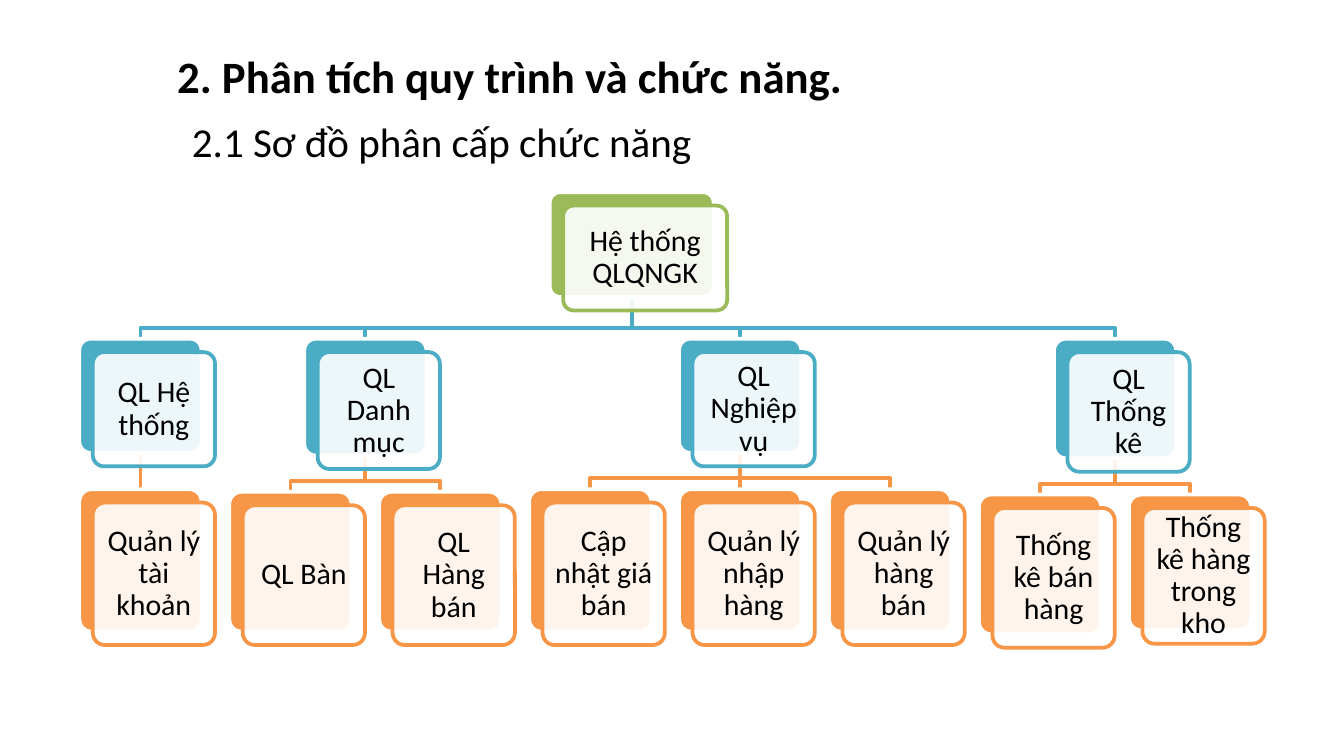
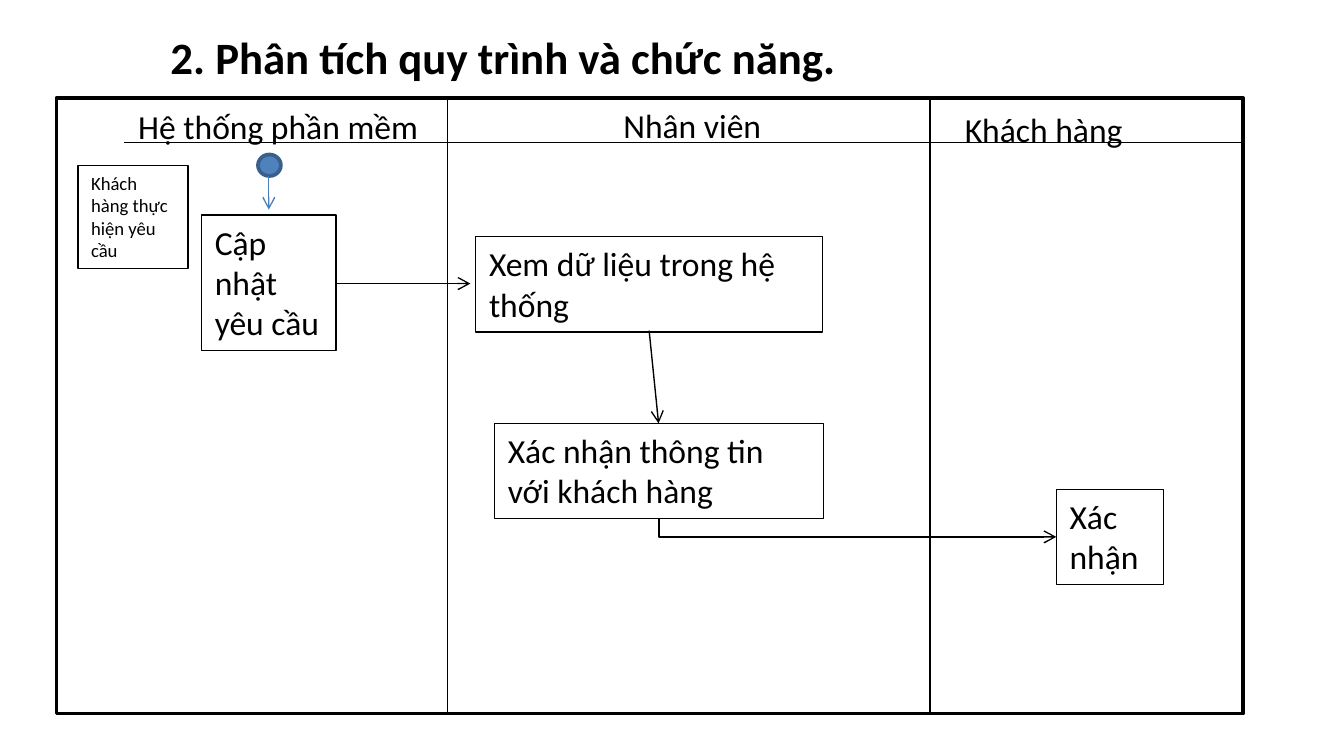
from lxml import etree
from pptx import Presentation
from pptx.dml.color import RGBColor
from pptx.enum.shapes import MSO_CONNECTOR, MSO_SHAPE
from pptx.enum.text import MSO_ANCHOR, MSO_AUTO_SIZE, PP_ALIGN
from pptx.oxml.ns import qn
from pptx.util import Inches, Pt

FONT = "Calibri"
BLACK, WHITE = "000000", "FFFFFF"
GREEN, TEAL, ORANGE = "9BBB59", "4BACC6", "F79646"
START_FILL, START_LINE, START_ARROW = "4F81BD", "3A5F8C", "4B7EBC"

TITLE = "2. Phân tích quy trình và chức năng."
SUBTITLE = "2.1 Sơ đồ phân cấp chức năng"

# Function tree: branch, branch height, [(leaf, leaf height)]
SYSTEM = "Hệ thống QLQNGK"
BRANCHES = [
    ("QL Hệ thống", 0.85, [("Quản lý tài khoản", 1.06)]),
    ("QL Danh mục", 0.87, [("QL Bàn", 1.04), ("QL Hàng bán", 1.04)]),
    ("QL Nghiệp vụ", 0.85, [("Cập nhật giá bán", 1.06),
                            ("Quản lý nhập hàng", 1.06),
                            ("Quản lý hàng bán", 1.06)]),
    ("QL Thống kê", 0.89, [("Thống kê bán hàng", 1.04),
                           ("Thống kê hàng trong kho", 1.01)]),
]
SYSTEM_CARD = (4.09, 1.43, 1.22, 0.78)
BRANCH_TOP = 2.52
CARD_WIDTH = 0.91
FIRST_LEFT, LAST_LEFT = 0.59, 8.4
LEAF_STEP = (LAST_LEFT - FIRST_LEFT) / (sum(len(leaves) for *_, leaves in BRANCHES) - 1)
LEVEL_GAP = 0.27
ELBOW_RISE = 0.08
CARD_OFFSET = 0.1
CARD_PADDING = 0.02

# Swimlane diagram
FRAME = (0.42, 0.73, 8.83, 4.58)
LANE_BORDERS = [3.33, 6.92]
HEADER_LINE = (0.92, 1.06)
LANES = [
    ("Nhân viên", (4.54, 0.73, 1.33, 0.4)),
    ("Hệ thống phần mềm", (0.93, 0.74, 2.75, 0.4)),
    ("Khách hàng", (7.08, 0.76, 1.58, 0.4)),
]
START = (1.92, 1.15, 0.17, 0.16)
STEPS = {
    "request": ("Khách hàng thực hiện yêu cầu", (0.58, 1.23, 0.82, 0.77), 10),
    "update": ("Cập nhật yêu cầu", (1.5, 1.6, 1, 1.01), 18),
    "view": ("Xem dữ liệu trong hệ thống", (3.54, 1.76, 2.58, 0.71), 18),
    "check": ("Xác nhận thông tin với khách hàng", (3.68, 3.15, 2.45, 0.71), 18),
    "confirm": ("Xác nhận", (7.86, 3.64, 0.8, 0.71), 18),
}
ARROWS = [
    ((2, 1.31), (2, 1.56), START_ARROW),
    ((2.5, 2.11), (3.5, 2.11), BLACK),
    ((4.83, 2.46), (4.9, 3.15), BLACK),
]


def rgb(value):
    return RGBColor.from_string(value)


def write(shape, text, size=18, bold=False, align=PP_ALIGN.LEFT,
          anchor=MSO_ANCHOR.TOP, spacing=None, inset=None, wrap=True, grow=True):
    frame = shape.text_frame
    frame.word_wrap = wrap
    frame.auto_size = MSO_AUTO_SIZE.SHAPE_TO_FIT_TEXT if grow else MSO_AUTO_SIZE.NONE
    frame.vertical_anchor = anchor
    if inset is not None:
        frame.margin_left = frame.margin_right = Inches(inset)
        frame.margin_top = frame.margin_bottom = Inches(inset)
    paragraph = frame.paragraphs[0]
    paragraph.alignment = align
    paragraph.line_spacing = spacing
    run = paragraph.add_run()
    run.text = text
    run.font.name = FONT
    run.font.size = Pt(size)
    run.font.bold = bold
    run.font.color.rgb = rgb(BLACK)


def add_text(slide, box, text, **style):
    write(slide.shapes.add_textbox(*map(Inches, box)), text, **style)


def paint(shape, fill, line, width, opacity=100):
    shape.shadow.inherit = False
    if fill:
        shape.fill.solid()
        shape.fill.fore_color.rgb = rgb(fill)
        if opacity < 100:
            color = shape._element.spPr.find(qn("a:solidFill"))[0]
            etree.SubElement(color, qn("a:alpha"), val=str(opacity * 1000))
    else:
        shape.fill.background()
    shape.line.color.rgb = rgb(line)
    shape.line.width = Pt(width)


def add_box(slide, kind, box, fill=None, line=BLACK, width=0.75, opacity=100):
    shape = slide.shapes.add_shape(kind, *map(Inches, box))
    paint(shape, fill, line, width, opacity)
    return shape


def style_line(connector, color, width, arrow):
    connector.line.color.rgb = rgb(color)
    connector.line.width = Pt(width)
    properties = connector._element.spPr
    if arrow:
        etree.SubElement(properties.find(qn("a:ln")), qn("a:tailEnd"), type="arrow")
    etree.SubElement(properties, qn("a:effectLst"))


def add_line(slide, start, end, color=BLACK, width=0.75, arrow=False):
    connector = slide.shapes.add_connector(
        MSO_CONNECTOR.STRAIGHT, *map(Inches, (*start, *end)))
    style_line(connector, color, width, arrow)


def add_corner_arrow(slide, source, target):
    """Arrow down from the bottom of source, then right to the left of target."""
    connector = slide.shapes.add_connector(MSO_CONNECTOR.ELBOW, 0, 0, 0, 0)
    connector.begin_connect(source, 2)
    connector.end_connect(target, 1)
    x, y = connector.begin_x, connector.begin_y
    across, down = connector.end_x - x, connector.end_y - y
    connector.left, connector.top = x + (across - down) // 2, y + (down - across) // 2
    connector.width, connector.height = down, across
    properties = connector._element.spPr
    transform = properties.find(qn("a:xfrm"))
    transform.set("rot", "16200000")
    transform.set("flipH", "1")
    properties.find(qn("a:prstGeom")).set("prst", "bentConnector2")
    style_line(connector, BLACK, 0.75, True)


def add_branch_line(slide, parent, child, color):
    """Line from the bottom centre of parent to the top centre of child."""
    x1, y1 = parent[0] + parent[2] / 2, parent[1] + parent[3]
    x2, y2 = child[0] + child[2] / 2, child[1]
    if abs(x1 - x2) < 0.01:
        add_line(slide, (x1, y1), (x2, y2), color, 2)
        return
    elbow = y2 - ELBOW_RISE
    points = [(Inches(x), Inches(y)) for x, y in ((x1, elbow), (x2, elbow), (x2, y2))]
    builder = slide.shapes.build_freeform(Inches(x1), Inches(y1))
    builder.add_line_segments(points, close=False)
    paint(builder.convert_to_shape(), None, color, 2)


def add_card(slide, box, text, color):
    left, top, width, height = box
    front_left, front_top = left + CARD_OFFSET, top + CARD_OFFSET
    back = add_box(slide, MSO_SHAPE.ROUNDED_RECTANGLE, box, color, WHITE, 2)
    front = add_box(slide, MSO_SHAPE.ROUNDED_RECTANGLE,
                    (front_left, front_top, width, height),
                    WHITE, color, 2, opacity=90)
    for layer in (back, front):
        layer.adjustments[0] = 0.1
    label = (front_left + CARD_PADDING, front_top + CARD_PADDING,
             width - 2 * CARD_PADDING, height - 2 * CARD_PADDING)
    add_text(slide, label, text, size=16, align=PP_ALIGN.CENTER,
             anchor=MSO_ANCHOR.MIDDLE, spacing=0.9, inset=0.07, grow=False)


def new_slide(deck, left, top):
    slide = deck.slides.add_slide(deck.slide_layouts[6])
    add_text(slide, (left, top, 8.08, 0.5), TITLE, size=24, bold=True)
    return slide


def build_function_tree(deck):
    slide = new_slide(deck, 1.22, 0.31)
    add_text(slide, (1.33, 0.82, 3.95, 0.47), SUBTITLE, size=22, wrap=False)
    cards = [(SYSTEM_CARD, SYSTEM, GREEN)]
    links = []
    column = 0
    for branch, height, leaves in BRANCHES:
        middle = column + (len(leaves) - 1) / 2
        branch_card = (FIRST_LEFT + middle * LEAF_STEP, BRANCH_TOP, CARD_WIDTH, height)
        cards.append((branch_card, branch, TEAL))
        links.append((SYSTEM_CARD, branch_card, TEAL))
        for leaf, leaf_height in leaves:
            leaf_card = (FIRST_LEFT + column * LEAF_STEP,
                         BRANCH_TOP + height + LEVEL_GAP, CARD_WIDTH, leaf_height)
            cards.append((leaf_card, leaf, ORANGE))
            links.append((branch_card, leaf_card, ORANGE))
            column += 1
    for link in links:
        add_branch_line(slide, *link)
    for card in cards:
        add_card(slide, *card)


def build_swimlanes(deck):
    slide = new_slide(deck, 1.17, 0.17)
    left, top, width, height = FRAME
    add_box(slide, MSO_SHAPE.RECTANGLE, FRAME, width=2)
    for x in LANE_BORDERS:
        add_line(slide, (x, top), (x, top + height))
    add_line(slide, HEADER_LINE, (left + width, HEADER_LINE[1]))
    for lane, box in LANES:
        add_text(slide, box, lane)
    add_box(slide, MSO_SHAPE.OVAL, START, START_FILL, START_LINE, 2)
    steps = {}
    for key, (text, box, size) in STEPS.items():
        steps[key] = add_box(slide, MSO_SHAPE.RECTANGLE, box)
        write(steps[key], text, size=size)
    for start, end, color in ARROWS:
        add_line(slide, start, end, color, arrow=True)
    add_corner_arrow(slide, steps["check"], steps["confirm"])


def main():
    deck = Presentation()
    deck.slide_width = Inches(10)
    deck.slide_height = deck.slide_width * 9 // 16
    build_function_tree(deck)
    build_swimlanes(deck)
    deck.save("out.pptx")


if __name__ == "__main__":
    main()
